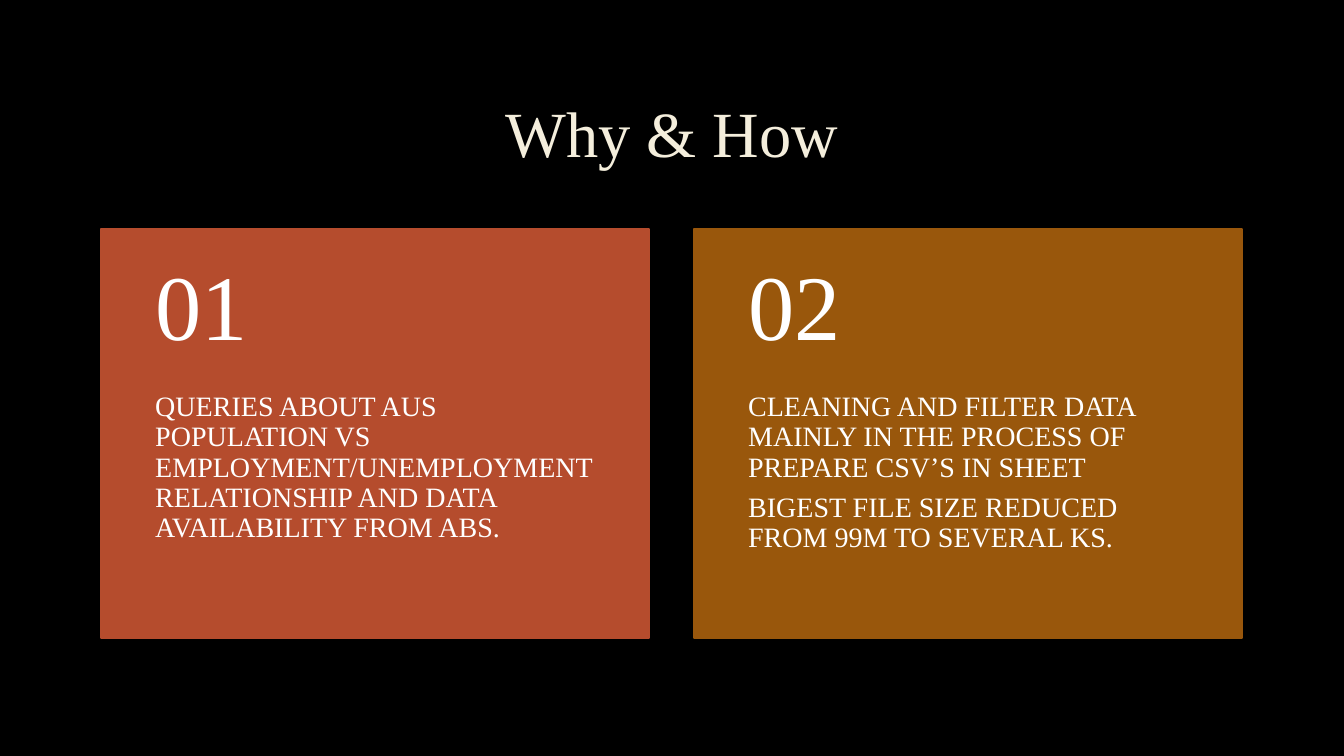
from dataclasses import dataclass

from lxml import etree
from pptx import Presentation, util as u
from pptx.dml.color import RGBColor
from pptx.enum import shapes, text
from pptx.oxml import ns


@dataclass(frozen=True)
class Theme:
    font: str = "Times New Roman"
    background: str = "000000"
    title: str = "F4EEDC"
    outline: str = "404040"
    card_text: str = "FFFFFF"
    card_fills: tuple = ("B54C2D", "99570C")
    title_size: int = 46
    number_size: int = 66
    body_size: int = 20
    line_spacing: float = 0.9


THEME = Theme()
WIDTH, HEIGHT = 13.33, 7.5
LEFT, CONTENT_WIDTH = 1, 11.32
GAP = 0.44
NUMBER_SHARE = 0.4
CARDS = [
    ("01", ["QUERIES ABOUT AUS POPULATION VS EMPLOYMENT/UNEMPLOYMENT "
            "RELATIONSHIP AND DATA AVAILABILITY FROM ABS."]),
    ("02", ["CLEANING AND FILTER DATA MAINLY IN THE PROCESS OF "
            "PREPARE CSV’S IN SHEET",
            "BIGEST FILE SIZE REDUCED FROM 99M TO SEVERAL KS."]),
]


def rgb(color):
    return RGBColor.from_string(color)


def add_text(parent, box, lines, size, color, insets=(0.1, 0.05, 0.1, 0.05),
             anchor=text.MSO_ANCHOR.MIDDLE, align=text.PP_ALIGN.LEFT, after=0):
    sp = parent.add_textbox(*map(u.Inches, box))
    tf = sp.text_frame
    tf.word_wrap = True
    tf.auto_size = text.MSO_AUTO_SIZE.NONE
    tf.vertical_anchor = anchor
    tf.margin_left, tf.margin_top, tf.margin_right, tf.margin_bottom = map(u.Inches, insets)
    tf.text = "\n".join(lines)
    for p in tf.paragraphs:
        p.alignment = align
        p.line_spacing = THEME.line_spacing
        p.space_after = u.Pt(size * after)
        for r in p.runs:
            r.font.name = THEME.font
            r.font.size = u.Pt(size)
            r.font.color.rgb = rgb(color)
    return sp


def add_outline(r):
    ln = etree.Element(ns.qn("a:ln"), w=str(u.Pt(0.75)))
    fill = etree.SubElement(ln, ns.qn("a:solidFill"))
    color = etree.SubElement(fill, ns.qn("a:srgbClr"), val=THEME.outline)
    etree.SubElement(color, ns.qn("a:alpha"), val="10000")
    r.font._element.insert(0, ln)


def add_title(s, box, wording):
    sp = add_text(s.shapes, box, [wording], THEME.title_size, THEME.title,
                  align=text.PP_ALIGN.CENTER)
    add_outline(sp.text_frame.paragraphs[0].runs[0])


def add_card(s, box, number, lines, color):
    left, top, width, height = box
    split = height * NUMBER_SHARE
    group = s.shapes.add_group_shape().shapes
    sp = group.add_shape(shapes.MSO_SHAPE.RECTANGLE, *map(u.Inches, box))
    sp.shadow.inherit = False
    sp.fill.solid()
    sp.fill.fore_color.rgb = rgb(color)
    sp.line.color.rgb = rgb(color)
    sp.line.width = u.Pt(1.25)
    add_text(group, (left, top + split, width, height - split), lines,
             THEME.body_size, THEME.card_text, (0.54, 0, 0.54, 0.36),
             text.MSO_ANCHOR.TOP, after=0.35)
    add_text(group, (left, top, width, split), [number],
             THEME.number_size, THEME.card_text, (0.54, 0.18, 0.54, 0.18), after=0.35)


def add_cards(s, box):
    left, top, width, height = box
    card_width = (width - GAP * (len(CARDS) - 1)) / len(CARDS)
    for i, ((number, lines), color) in enumerate(zip(CARDS, THEME.card_fills)):
        add_card(s, (left + i * (card_width + GAP), top, card_width, height),
                 number, lines, color)


def main():
    prs = Presentation()
    prs.slide_width, prs.slide_height = u.Inches(WIDTH), u.Inches(HEIGHT)
    s = prs.slides.add_slide(prs.slide_layouts[6])
    s.background.fill.solid()
    s.background.fill.fore_color.rgb = rgb(THEME.background)
    add_title(s, (LEFT, 0.67, CONTENT_WIDTH, 1.38), "Why & How")
    add_cards(s, (LEFT, 2.27, CONTENT_WIDTH, 4.06))
    prs.save("out.pptx")


if __name__ == "__main__":
    main()
